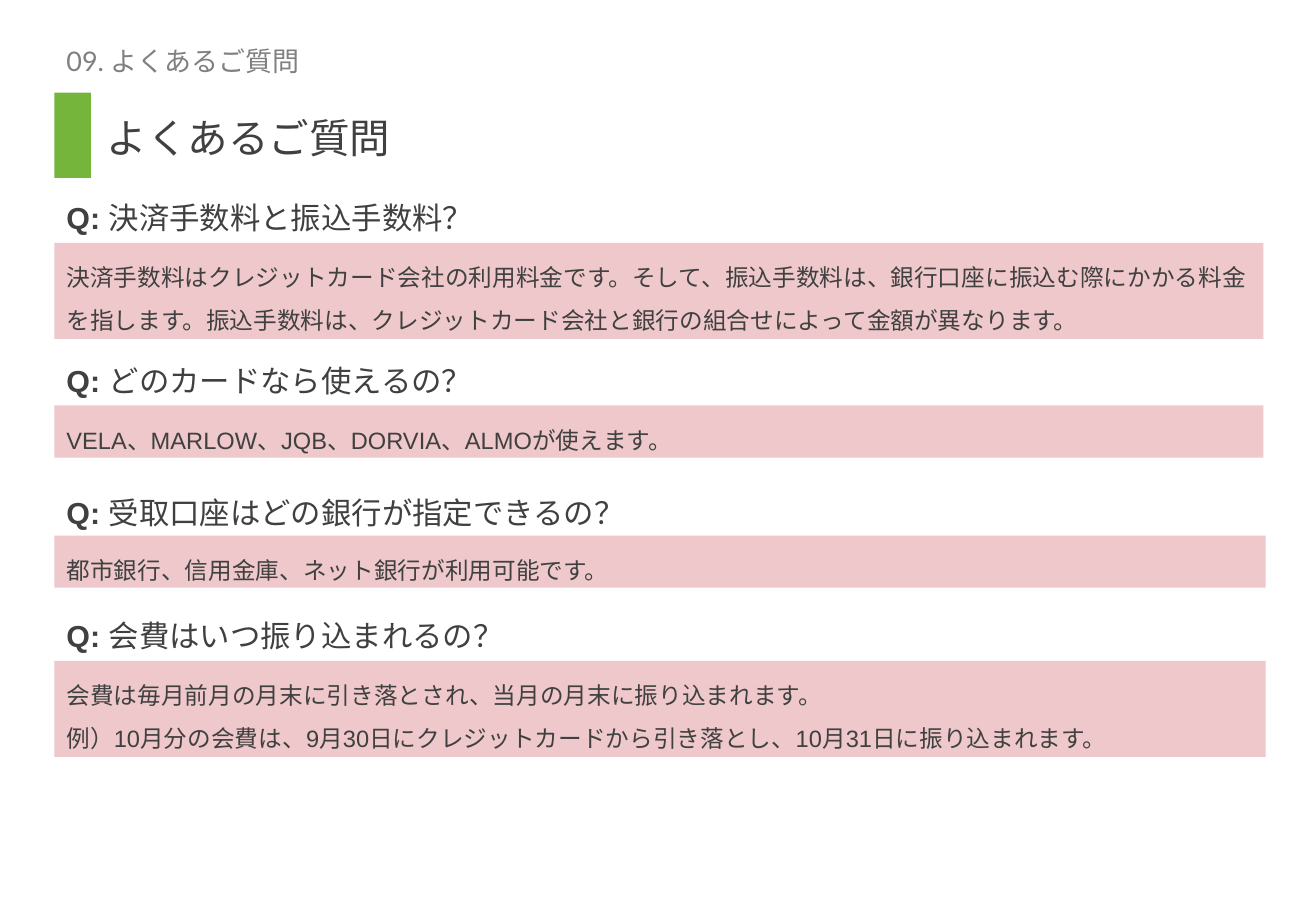
"""Build the FAQ slide about card payments and bank transfers."""
from dataclasses import dataclass

from lxml import etree
from pptx import Presentation
from pptx.dml.color import RGBColor
from pptx.enum.shapes import MSO_SHAPE
from pptx.enum.text import MSO_ANCHOR, MSO_AUTO_SIZE, PP_ALIGN
from pptx.oxml.ns import qn
from pptx.util import Cm, Pt

RECTANGLE = MSO_SHAPE.RECTANGLE
TOP, MIDDLE, BOTTOM = MSO_ANCHOR.TOP, MSO_ANCHOR.MIDDLE, MSO_ANCHOR.BOTTOM
GROW = MSO_AUTO_SIZE.SHAPE_TO_FIT_TEXT
LEFT_ALIGN = PP_ALIGN.LEFT


@dataclass(frozen=True)
class Theme:
    """Colours, fonts and type sizes of the slide."""

    accent: RGBColor = RGBColor(0x75, 0xB5, 0x3C)
    panel: RGBColor = RGBColor(0xCF, 0x63, 0x68)
    panel_opacity: int = 35
    ink: RGBColor = RGBColor(0x40, 0x40, 0x40)
    muted: RGBColor = RGBColor(0x80, 0x80, 0x80)
    section_font: str = "Lato"
    text_font: str = "Arial"
    section_size: Pt = Pt(16)
    heading_size: Pt = Pt(24)
    question_size: Pt = Pt(18)
    answer_size: Pt = Pt(14)


THEME = Theme()
MARGIN = Cm(1.14)
HEADER_WIDTH = Cm(25.27)
QUESTION_HEIGHT = Cm(1.02)
QUESTION_PADDING = 1.57
CHARACTER_WIDTH = 0.64
ANSWER_PADDING = 0.17
ANSWER_LINE = 0.92

FAQ = [
    (4.04, "決済手数料と振込手数料？", 5.08, 25.27, 2,
     ["決済手数料はクレジットカード会社の利用料金です。そして、振込手数料は、銀行口座に振込む際にかかる料金"
      "を指します。振込手数料は、クレジットカード会社と銀行の組合せによって金額が異なります。"]),
    (7.44, "どのカードなら使えるの？", 8.48, 25.27, 1,
     ["VELA、MARLOW、JQB、DORVIA、ALMOが使えます。"]),
    (10.21, "受取口座はどの銀行が指定できるの？", 11.2, 25.32, 1,
     ["都市銀行、信用金庫、ネット銀行が利用可能です。"]),
    (12.78, "会費はいつ振り込まれるの？", 13.82, 25.32, 2,
     ["会費は毎月前月の月末に引き落とされ、当月の月末に振り込まれます。",
      "例）10月分の会費は、9月30日にクレジットカードから引き落とし、10月31日に振り込まれます。"]),
]


def apply_format(target, values):
    """Set each attribute of the target from a dict of values."""
    for attribute, value in values.items():
        setattr(target, attribute, value)


def add_run(paragraph, text, color=THEME.ink, **font_values):
    """Add one formatted run to a paragraph."""
    run = paragraph.add_run()
    run.text = text
    apply_format(run.font, font_values)
    run.font.color.rgb = color


def add_panel(slide, left, top, width, height, color, opacity=100):
    """Add a borderless rectangle filled with a colour."""
    panel = slide.shapes.add_shape(RECTANGLE, left, top, width, height)
    panel.shadow.inherit = False
    panel.line.fill.background()
    panel.fill.solid()
    panel.fill.fore_color.rgb = color
    if opacity < 100:
        fill_color = panel.fill._xPr.find(qn("a:solidFill"))[0]
        etree.SubElement(fill_color, qn("a:alpha"), val=str(opacity * 1000))
    return panel


def add_header(slide, top, height, text, anchor, line_spacing, **run_values):
    """Add one header line across the slide."""
    header = slide.shapes.add_textbox(MARGIN, top, HEADER_WIDTH, height)
    frame = header.text_frame
    apply_format(frame, {"word_wrap": True, "vertical_anchor": anchor})
    frame.paragraphs[0].line_spacing = line_spacing
    add_run(frame.paragraphs[0], text, **run_values)


def add_question(slide, top, question):
    """Add a question with its bold Q mark."""
    width = Cm(QUESTION_PADDING + CHARACTER_WIDTH * len(question))
    box = slide.shapes.add_textbox(MARGIN, top, width, QUESTION_HEIGHT)
    frame = box.text_frame
    apply_format(frame, {"word_wrap": False, "auto_size": GROW})
    for text, bold in (("Q: ", True), (question, False)):
        add_run(frame.paragraphs[0], text, name=THEME.text_font,
                size=THEME.question_size, bold=bold)


def add_answer(slide, top, width, line_count, answers):
    """Add a tinted panel holding the answer paragraphs."""
    height = Cm(ANSWER_PADDING + ANSWER_LINE * line_count)
    panel = add_panel(slide, MARGIN, top, width, height,
                      THEME.panel, THEME.panel_opacity)
    frame = panel.text_frame
    apply_format(frame, {"word_wrap": True, "auto_size": GROW,
                         "vertical_anchor": TOP})
    for index, answer in enumerate(answers):
        paragraph = frame.add_paragraph() if index else frame.paragraphs[0]
        apply_format(paragraph, {"alignment": LEFT_ALIGN, "line_spacing": 1.5})
        add_run(paragraph, answer, name=THEME.text_font, size=THEME.answer_size)


def main():
    """Build and save the slide."""
    deck = Presentation()
    apply_format(deck, {"slide_width": Cm(27.51), "slide_height": Cm(19.05)})
    slide = deck.slides.add_slide(deck.slide_layouts[6])
    add_panel(slide, MARGIN, Cm(1.94), Cm(0.76), Cm(1.78), THEME.accent)
    add_header(slide, Cm(0.81), Cm(0.91), "09. よくあるご質問", MIDDLE, 1.0,
               color=THEME.muted, name=THEME.section_font, size=THEME.section_size)
    add_header(slide, Cm(1.73), Cm(1.78), "　よくあるご質問", BOTTOM, 1.5,
               name=THEME.text_font, size=THEME.heading_size)
    for question_top, question, answer_top, width, line_count, answers in FAQ:
        add_question(slide, Cm(question_top), question)
        add_answer(slide, Cm(answer_top), Cm(width), line_count, answers)
    deck.save("out.pptx")


if __name__ == "__main__":
    main()
